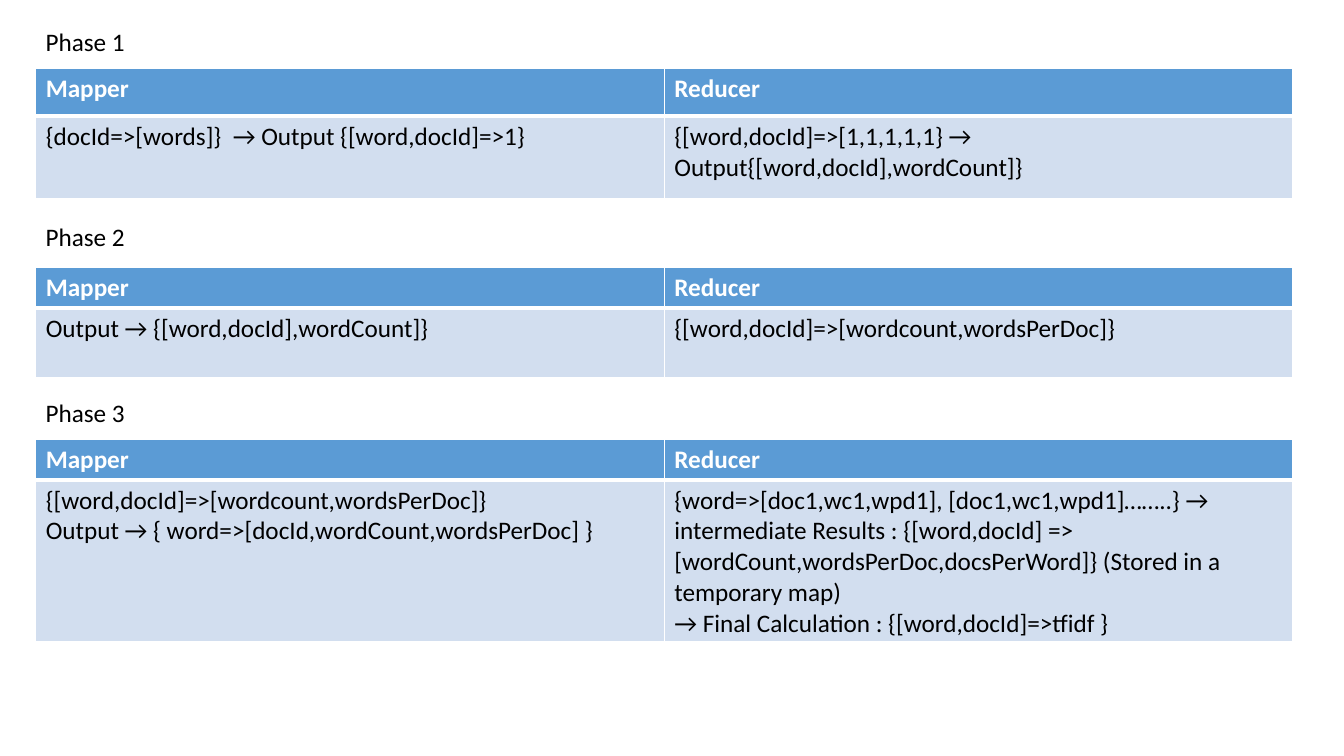
from lxml.etree import fromstring
from pptx import Presentation
from pptx.dml.color import RGBColor
from pptx.enum.text import MSO_AUTO_SIZE as AutoSize
from pptx.oxml.ns import nsdecls
from pptx.util import Pt

HEADINGS = ("Mapper", "Reducer")
PHASES = [
    {"label": "Phase 1", "label_top": 15, "top": 49, "rows": (34, 59),
     "steps": ("{docId=>[words]}  → Output {[word,docId]=>1}",
               "{[word,docId]=>[1,1,1,1,1} → Output{[word,docId],wordCount]}")},
    {"label": "Phase 2", "label_top": 154.5, "top": 191, "rows": (29, 50),
     "steps": ("Output → {[word,docId],wordCount]}",
               "{[word,docId]=>[wordcount,wordsPerDoc]}")},
    {"label": "Phase 3", "label_top": 280, "top": 314, "rows": (29, 115),
     "steps": ("{[word,docId]=>[wordcount,wordsPerDoc]}\n"
               "Output → { word=>[docId,wordCount,wordsPerDoc] }",
               "{word=>[doc1,wc1,wpd1], [doc1,wc1,wpd1]……..} → "
               "intermediate Results : {[word,docId] => "
               "[wordCount,wordsPerDoc,docsPerWord]} (Stored in a temporary map)\n"
               "→ Final Calculation : {[word,docId]=>tfidf }")},
]
LEFT, COLUMN_WIDTH = 25.5, 449
LABEL_WIDTH, LABEL_HEIGHT = 266, 29
WHITE, BLACK, HEADING_BLUE, STEP_BLUE = "FFFFFF", "000000", "5B9BD5", "D2DEEF"


def color(value):
    return RGBColor.from_string(value)


def style_text(frame, ink, bold=False):
    for paragraph in frame.paragraphs:
        font = paragraph.font
        font.name, font.size, font.bold = "Calibri", Pt(18), bold
        font.color.rgb = color(ink)


def set_borders(cell, widths):
    properties = cell._tc.get_or_add_tcPr()
    for position, (side, width) in enumerate(zip("LRTB", widths)):
        properties.insert(position, fromstring(
            f'<a:ln{side} {nsdecls("a")} w="{Pt(width)}"><a:solidFill>'
            f'<a:srgbClr val="{WHITE}"/></a:solidFill></a:ln{side}>'))


def add_label(slide, phase):
    label = slide.shapes.add_textbox(Pt(LEFT), Pt(phase["label_top"]),
                                     Pt(LABEL_WIDTH), Pt(LABEL_HEIGHT)).text_frame
    label.word_wrap = True
    label.auto_size = AutoSize.SHAPE_TO_FIT_TEXT
    label.text = phase["label"]
    style_text(label, BLACK)


def add_phase_table(slide, phase):
    content = (HEADINGS, phase["steps"])
    table = slide.shapes.add_table(
        len(content), len(HEADINGS), Pt(LEFT), Pt(phase["top"]),
        Pt(COLUMN_WIDTH * len(HEADINGS)), Pt(sum(phase["rows"]))).table
    for column in table.columns:
        column.width = Pt(COLUMN_WIDTH)
    looks = ((HEADING_BLUE, WHITE, True, (1, 1, 1, 3)),
             (STEP_BLUE, BLACK, False, (1, 1, 3, 1)))
    for row, height, texts, look in zip(table.rows, phase["rows"], content, looks):
        row.height = Pt(height)
        background, ink, bold, borders = look
        for cell, text in zip(row.cells, texts):
            cell.text = text
            style_text(cell.text_frame, ink, bold)
            cell.fill.solid()
            cell.fill.fore_color.rgb = color(background)
            set_borders(cell, borders)


deck = Presentation()
deck.slide_width, deck.slide_height = Pt(960), Pt(540)
slide = deck.slides.add_slide(deck.slide_layouts[6])
for phase in PHASES:
    add_label(slide, phase)
    add_phase_table(slide, phase)
deck.save("out.pptx")
